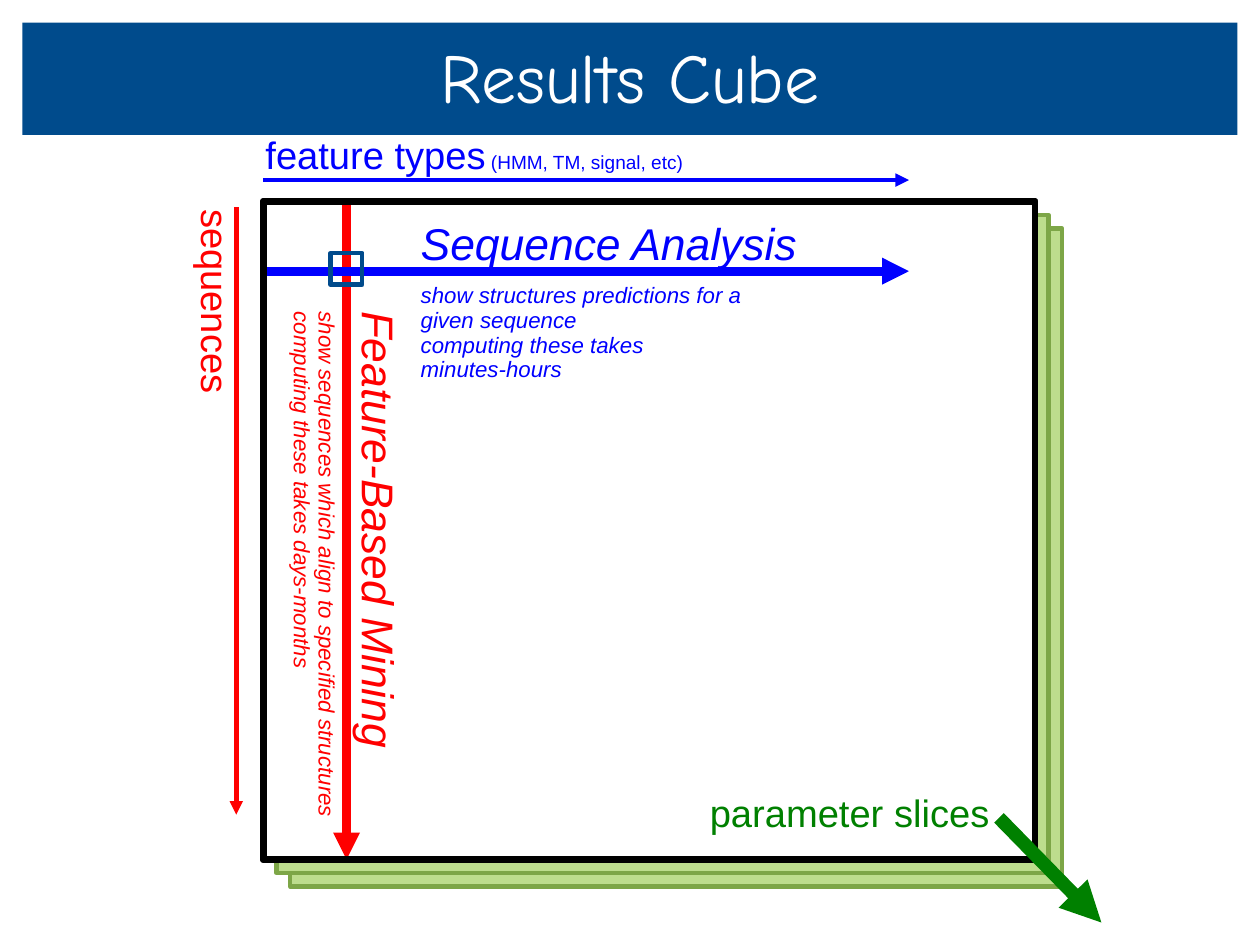
from lxml import etree
from pptx import Presentation
from pptx.dml.color import RGBColor
from pptx.enum.shapes import MSO_CONNECTOR, MSO_SHAPE
from pptx.enum.text import MSO_ANCHOR, MSO_AUTO_SIZE, PP_ALIGN
from pptx.oxml.ns import qn
from pptx.util import Pt

STRAIGHT = MSO_CONNECTOR.STRAIGHT
BOX = MSO_SHAPE.ROUNDED_RECTANGLE
TOP, MIDDLE, BOTTOM = MSO_ANCHOR.TOP, MSO_ANCHOR.MIDDLE, MSO_ANCHOR.BOTTOM
CENTER, LEFT = PP_ALIGN.CENTER, PP_ALIGN.LEFT
NO_FIT = MSO_AUTO_SIZE.NONE

NAVY = RGBColor(0x00, 0x4B, 0x8C)
BLUE = RGBColor(0x00, 0x00, 0xFF)
RED = RGBColor(0xFF, 0x00, 0x00)
GREEN = RGBColor(0x00, 0x80, 0x00)
SLICE_FILL = RGBColor(0xBD, 0xDD, 0x8D)
SLICE_LINE = RGBColor(0x7D, 0xA6, 0x47)
WHITE = RGBColor(0xFF, 0xFF, 0xFF)
BLACK = RGBColor(0x00, 0x00, 0x00)

PX = 9000  # EMU per px, 40 px to the centimetre


def px(*lengths):
    return [n * PX for n in lengths]


def add_run(p, text, size, color, font="Arial", italic=False):
    r = p.add_run()
    r.text = text
    r.font.name, r.font.size, r.font.italic = font, Pt(size), italic
    r.font.color.rgb = color


def write(tf, paragraphs, color, font="Arial", italic=False, spacing=0.93,
          align=LEFT, anchor=TOP, margins=(10, 5), vertical=None):
    """Each paragraph is (space before in points, [(text, size), ...])."""
    tf.word_wrap = vertical is None
    tf.auto_size = NO_FIT
    tf.vertical_anchor = anchor
    tf.margin_left = tf.margin_right = margins[0] * PX
    tf.margin_top = tf.margin_bottom = margins[1] * PX
    if vertical:
        tf._txBody.bodyPr.set("vert", vertical)
    for i, (before, runs) in enumerate(paragraphs):
        p = tf.add_paragraph() if i else tf.paragraphs[0]
        p.alignment, p.line_spacing = align, spacing
        if before:
            p.space_before = Pt(before)
        for text, size in runs:
            add_run(p, text, size, color, font, italic)


class CubeSlide:
    def __init__(self, prs):
        self.s = prs.slides.add_slide(prs.slide_layouts[5])

    def title(self, text, x, y, w, h):
        sp = self.s.shapes.title
        sp.left, sp.top, sp.width, sp.height = px(x, y, w, h)
        sp.fill.solid()
        sp.fill.fore_color.rgb = NAVY
        write(sp.text_frame, [(0, [(text, 44)])], WHITE, font="Comic Neue",
              spacing=0.98, align=CENTER, anchor=MIDDLE, margins=(0, 0))

    def box(self, x, y, w, h, line, width, fill=None):
        sp = self.s.shapes.add_shape(BOX, *px(x, y, w, h))
        sp.adjustments[0] = 0
        sp.shadow.inherit = False
        if fill is None:
            sp.fill.background()
        else:
            sp.fill.solid()
            sp.fill.fore_color.rgb = fill
        sp.line.color.rgb, sp.line.width = line, Pt(width)
        etree.SubElement(sp.line._get_or_add_ln(), qn("a:round"))

    def arrow(self, x1, y1, x2, y2, color, width):
        c = self.s.shapes.add_connector(STRAIGHT, *px(x1, y1, x2, y2))
        c.line.color.rgb, c.line.width = color, Pt(width)
        etree.SubElement(c.line._get_or_add_ln(), qn("a:tailEnd"), type="triangle")
        etree.SubElement(c._element.spPr, qn("a:effectLst"))

    def text(self, x, y, w, h, paragraphs, color, rotation=0, **style):
        sp = self.s.shapes.add_textbox(*px(x, y, w, h))
        sp.rotation = rotation
        write(sp.text_frame, paragraphs, color, **style)


def main():
    prs = Presentation()
    prs.slide_width, prs.slide_height = px(1120, 840)
    cube = CubeSlide(prs)
    left, top, width, height = 234, 179, 686, 585
    row_end = 808

    # Title band
    cube.title("Results Cube", 20, 20, 1080, 100)

    # Stacked slices, rearmost first
    for step in (2, 1):
        cube.box(left + 12 * step, top + 12 * step, width, height,
                 SLICE_LINE, 2.83, SLICE_FILL)
    cube.box(left, top, width, height, BLACK, 4.25, WHITE)

    # Axes
    cube.arrow(left, 160, row_end, 160, BLUE, 2.83)
    cube.text(left, 118, 574, 42,
              [(0, [("feature types", 24), (" (HMM, TM, signal, etc)", 12)])],
              BLUE, anchor=BOTTOM, margins=(2, 2))
    cube.arrow(210, 184, 210, 724, RED, 2.83)
    cube.text(-80, 433, 540, 42, [(0, [("sequences", 24)])], RED,
              rotation=90, margins=(2, 2))

    # Feature-based mining, down one column
    cube.arrow(308, top, 308, top + height, RED, 5.67)
    cube.text(207, 267, 155, 526, [
        (0, [("Feature-Based Mining", 28)]),
        (8.5, [("show sequences which align to specified structures", 14)]),
        (0, [("computing these takes days-months", 14)]),
    ], RED, italic=True, margins=(5, 10), vertical="eaVert")

    # Sequence analysis, along one row
    cube.arrow(left, 241, row_end, 241, BLUE, 5.67)
    cube.text(364, 191, 436, 155, [
        (0, [("Sequence Analysis", 28)]),
        (8.5, [("show structures predictions for a", 14)]),
        (0, [("given sequence", 14)]),
        (0, [("computing these takes", 14)]),
        (0, [("minutes-hours", 14)]),
    ], BLUE, italic=True)

    # Cell where row and column cross, and the front outline
    cube.box(294, 225, 28, 28, NAVY, 2.83)
    cube.box(left, top, width, height, BLACK, 4.25)

    # Depth axis
    cube.text(621, 700, 274, 48, [(0, [("parameter slices", 24)])], GREEN)
    cube.arrow(888, 727, 979, 820, GREEN, 8.5)

    prs.save("out.pptx")


if __name__ == "__main__":
    main()
